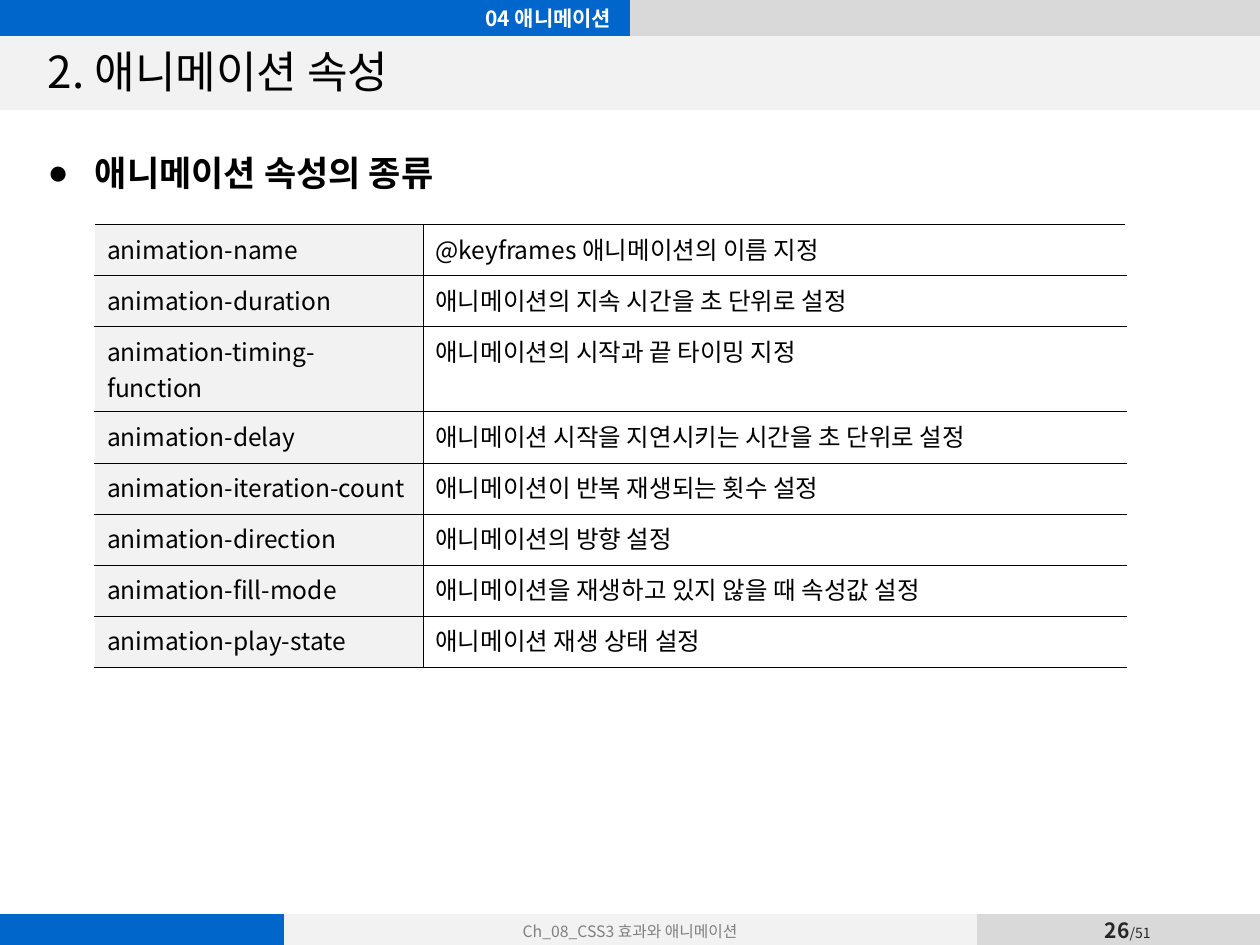
from lxml import etree
from pptx import Presentation
from pptx.dml.color import RGBColor
from pptx.enum.shapes import MSO_SHAPE
from pptx.enum.text import MSO_ANCHOR, MSO_AUTO_SIZE, PP_ALIGN
from pptx.oxml.ns import qn
from pptx.util import Pt

BLUE = RGBColor(0x00, 0x66, 0xCC)
PALE = RGBColor(0xF2, 0xF2, 0xF2)
SILVER = RGBColor(0xD9, 0xD9, 0xD9)
GRAY = RGBColor(0x80, 0x80, 0x80)
DARK = RGBColor(0x26, 0x26, 0x26)
BLACK = RGBColor(0x00, 0x00, 0x00)
WHITE = RGBColor(0xFF, 0xFF, 0xFF)
FONT = "Noto Sans CJK KR"
NO_STYLE = "{2D5ABB26-0587-4C30-8999-92F81FD0307C}"


def add_run(paragraph, text, size, color=BLACK, bold=False, font=FONT):
    run = paragraph.add_run()
    run.text = text
    run.font.size = Pt(size)
    run.font.bold = bold
    run.font.name = font
    run.font.color.rgb = color
    east_asian = etree.SubElement(run._r.get_or_add_rPr(), qn("a:ea"))
    east_asian.set("typeface", FONT)


def add_plain_table(left, top, widths, heights):
    table = slide.shapes.add_table(len(heights), len(widths), Pt(left), Pt(top),
                                   Pt(sum(widths)), Pt(sum(heights))).table
    table.first_row = table.horz_banding = False
    table._tbl.tblPr.find(qn("a:tableStyleId")).text = NO_STYLE
    for column, width in zip(table.columns, widths):
        column.width = Pt(width)
    for row, height in zip(table.rows, heights):
        row.height = Pt(height)
    return table


prs = Presentation()
prs.slide_width, prs.slide_height = Pt(720), Pt(540)
slide = prs.slides.add_slide(prs.slide_layouts[5])

# Title band
band = slide.shapes.add_shape(MSO_SHAPE.RECTANGLE, Pt(0), Pt(20.4), Pt(720), Pt(42.5))
band.shadow.inherit = False
band.fill.solid()
band.fill.fore_color.rgb = PALE
band.line.fill.background()

# Coloured bars along the top and bottom edges
bars = [
    (0, 20.4, [360, 360], [BLUE, SILVER]),
    (522, 19.4, [162, 396, 2, 96.5, 65.5], [BLUE, PALE, SILVER, SILVER, SILVER]),
]
for top, height, widths, colors in bars:
    bar = add_plain_table(0, top, widths, [height])
    for cell, color in zip(bar.iter_cells(), colors):
        cell.margin_left = cell.margin_right = cell.margin_top = cell.margin_bottom = 0
        cell.vertical_anchor = MSO_ANCHOR.MIDDLE
        cell.fill.solid()
        cell.fill.fore_color.rgb = color
        # Small end mark keeps empty cells from stretching the row
        end_mark = etree.SubElement(cell.text_frame.paragraphs[0]._p, qn("a:endParaRPr"))
        end_mark.set("sz", "900")

# Footer text sits in the last bar
footer = bar.cell(0, 1).text_frame.paragraphs[0]
footer.alignment = PP_ALIGN.CENTER
add_run(footer, "Ch_08_CSS3 효과와 애니메이션", 9, GRAY)

# Page number
page_box = slide.shapes.add_textbox(Pt(610), Pt(522), Pt(69), Pt(18.7)).text_frame
page_box.margin_left = page_box.margin_right = 0
page_box.word_wrap = False
page_box.vertical_anchor = MSO_ANCHOR.MIDDLE
page_number = page_box.paragraphs[0]
page_number.alignment = PP_ALIGN.CENTER
add_run(page_number, "26", 12, DARK, bold=True)
add_run(page_number, "/51", 8, DARK)

# Title, brought in front of its band
title = slide.shapes.title
slide.shapes._spTree.append(title._element)
title.left, title.top, title.width, title.height = Pt(20.2), Pt(20.4), Pt(680), Pt(40.3)
title.text_frame.auto_size = MSO_AUTO_SIZE.NONE
title.text_frame.vertical_anchor = MSO_ANCHOR.MIDDLE
heading = title.text_frame.paragraphs[0]
heading.alignment = PP_ALIGN.LEFT
add_run(heading, "2. 애니메이션 속성", 25.2)

# Chapter label
chapter_box = slide.shapes.add_textbox(Pt(0), Pt(0), Pt(356.4), Pt(20.4)).text_frame
chapter_box.word_wrap = True
chapter_box.vertical_anchor = MSO_ANCHOR.MIDDLE
chapter = chapter_box.paragraphs[0]
chapter.alignment = PP_ALIGN.RIGHT
add_run(chapter, "04 애니메이션", 12, WHITE, bold=True)

# Bulleted subheading
topic_box = slide.shapes.add_textbox(Pt(20.2), Pt(82.8), Pt(674.6), Pt(45.4)).text_frame
topic_box.word_wrap = True
topic = topic_box.paragraphs[0]
topic.space_before = Pt(4)
indent = topic._p.get_or_add_pPr()
indent.set("marL", str(Pt(27)))
indent.set("indent", str(-Pt(27)))
etree.SubElement(indent, qn("a:buFont")).set("typeface", "Arial")
etree.SubElement(indent, qn("a:buChar")).set("char", "●")
add_run(topic, "애니메이션 속성의 종류", 20, bold=True, font="Arial")

# Property table; the third name wraps and needs a taller row
ROW, TALL_ROW = 29.2, 48.6
properties = [
    ("animation-name", "@keyframes 애니메이션의 이름 지정", ROW),
    ("animation-duration", "애니메이션의 지속 시간을 초 단위로 설정", ROW),
    ("animation-timing-function", "애니메이션의 시작과 끝 타이밍 지정", TALL_ROW),
    ("animation-delay", "애니메이션 시작을 지연시키는 시간을 초 단위로 설정", ROW),
    ("animation-iteration-count", "애니메이션이 반복 재생되는 횟수 설정", ROW),
    ("animation-direction", "애니메이션의 방향 설정", ROW),
    ("animation-fill-mode", "애니메이션을 재생하고 있지 않을 때 속성값 설정", ROW),
    ("animation-play-state", "애니메이션 재생 상태 설정", ROW),
]
THIN, OUTER = (BLACK, 0.25), (WHITE, 1)
column_looks = [
    (PALE, {"lnL": OUTER, "lnR": THIN, "lnT": THIN, "lnB": THIN}),
    (WHITE, {"lnL": THIN, "lnR": OUTER, "lnT": THIN, "lnB": THIN}),
]
row_heights = [height for _, _, height in properties]
property_table = add_plain_table(54, 128.2, [187.6, 401.8], row_heights)
for row, (name, meaning, _) in zip(property_table.rows, properties):
    for cell, text, (fill, borders) in zip(row.cells, (name, meaning), column_looks):
        add_run(cell.text_frame.paragraphs[0], text, 14)
        for side, (color, width) in borders.items():
            line = etree.SubElement(cell._tc.get_or_add_tcPr(), qn(f"a:{side}"))
            line.set("w", str(Pt(width)))
            line_fill = etree.SubElement(line, qn("a:solidFill"))
            etree.SubElement(line_fill, qn("a:srgbClr")).set("val", str(color))
        cell.fill.solid()
        cell.fill.fore_color.rgb = fill

prs.save("out.pptx")
